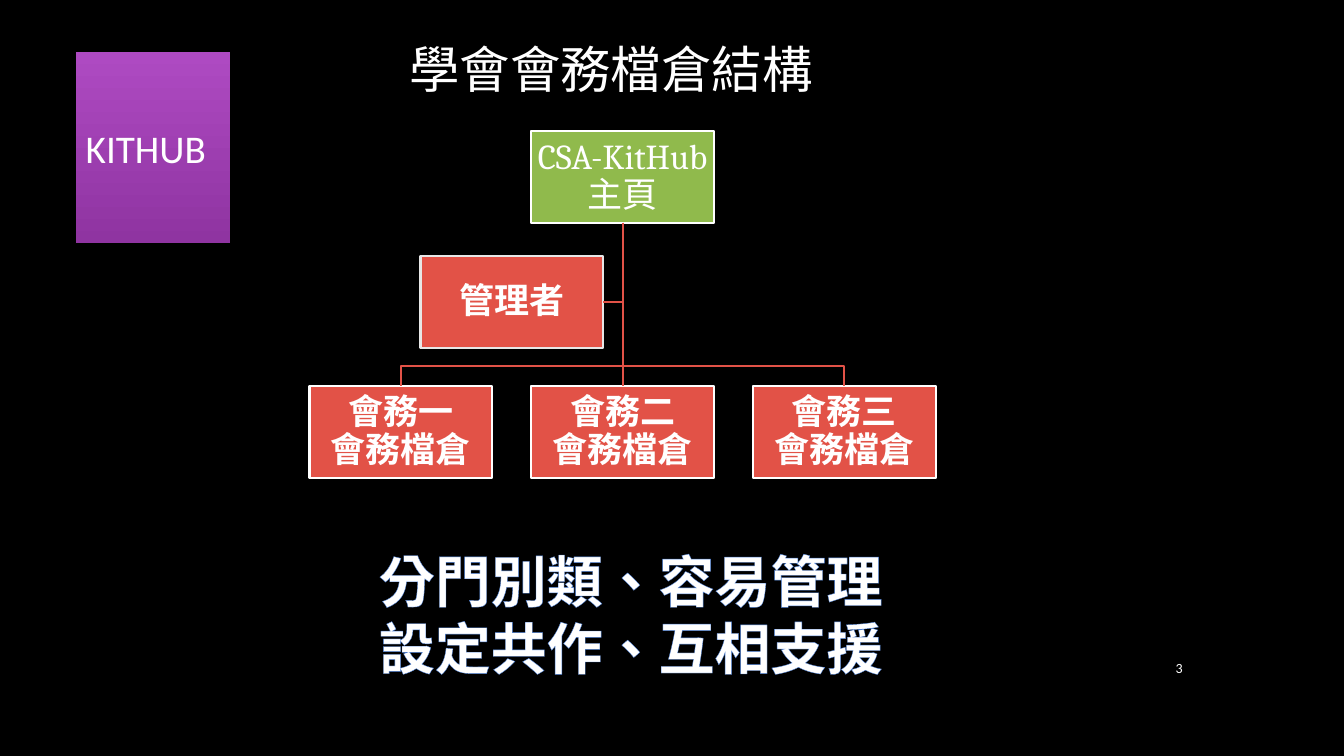
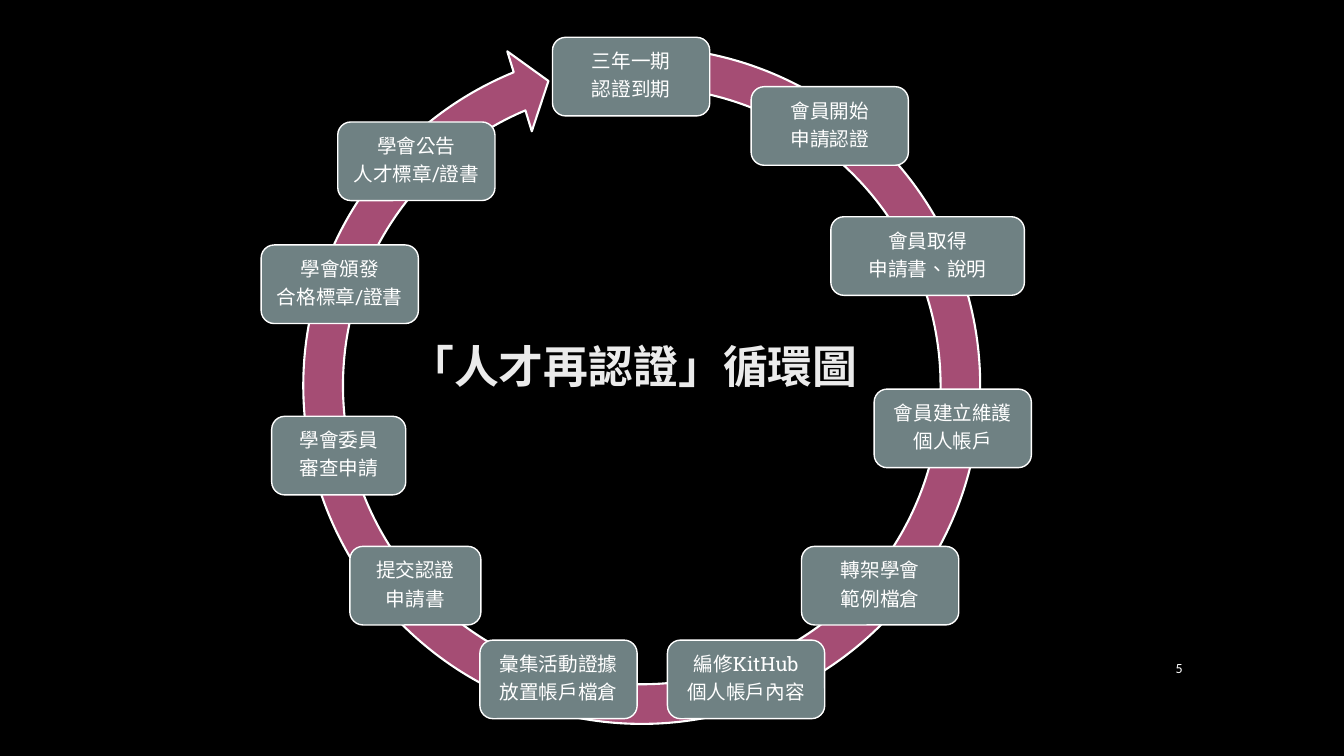
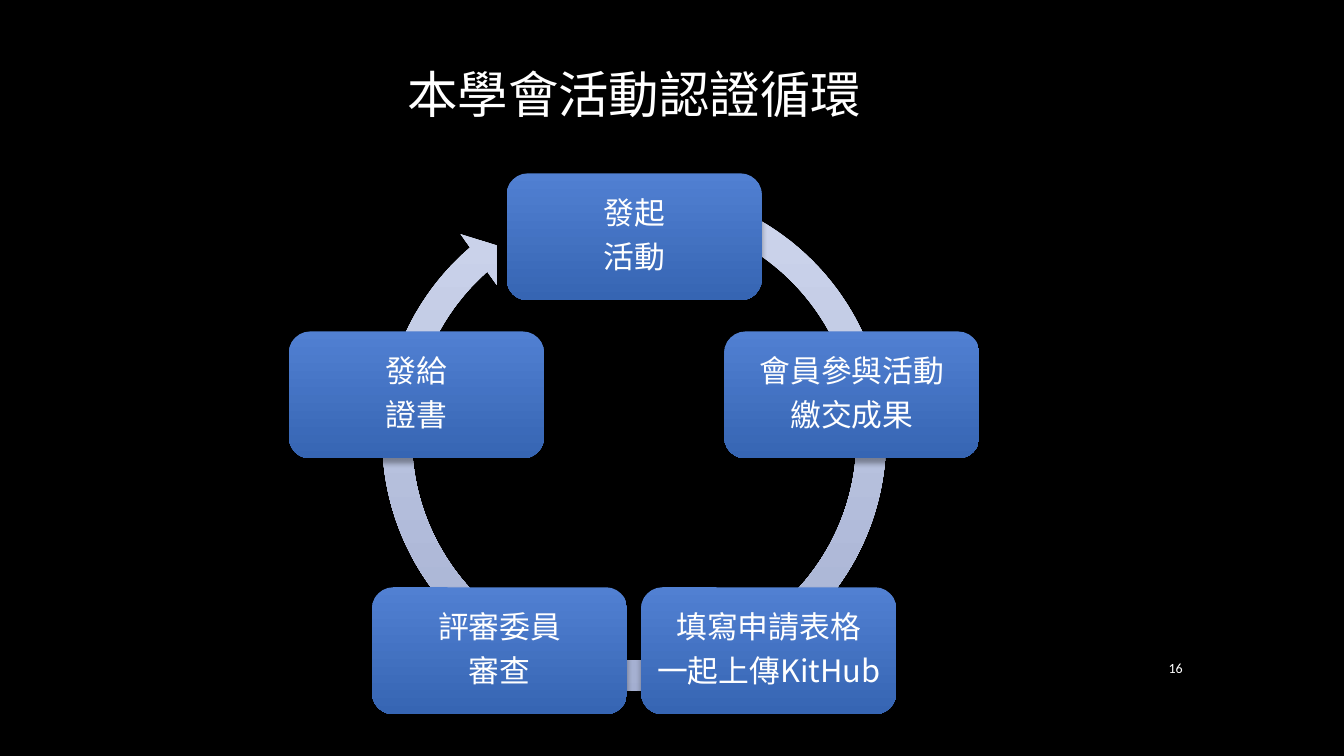
from math import cos, pi, sin

from lxml.etree import SubElement
from pptx import Presentation
from pptx.dml.color import RGBColor
from pptx.enum.shapes import MSO_CONNECTOR as Link, MSO_SHAPE as Preset
from pptx.enum.text import MSO_ANCHOR as Anchor, MSO_AUTO_SIZE as Fit, PP_ALIGN as Align
from pptx.oxml.ns import qn
from pptx.util import Inches, Pt


class Theme:
    background = "000000"
    white = "FFFFFF"
    soft_white = "EBEBEB"
    manager_line = "E7E7E7"
    red, green = "E25247", "90BA4C"
    slate, plum = "6F8183", "A54D74"
    purple_fade = ("AE4AC2", "8F34A1")
    blue_fade = ("5180D2", "3665B3")
    pale_fade = ("D0D8EE", "A3AED0")
    glyph_edge = "477BD1"
    asian = "Noto Sans CJK SC"
    latin, serif, slab, geometric = "Calibri", "Cambria", "Roboto Slab", "TeX Gyre Adventor"
    number, small, node, org, badge, center, title, slogan = 10, 14, 22, 25, 28, 32, 36, 40


def paint(shape, fill, line=None, weight=1.5, shadow=None):
    """Fill with one colour or a top-down pair; shadow is (opacity %, direction in degrees)."""
    if isinstance(fill, tuple):
        shape.fill.gradient()
        shape.fill.gradient_angle = 270
        for position, (stop, color) in enumerate(zip(shape.fill.gradient_stops, fill)):
            stop.position = position
            stop.color.rgb = RGBColor.from_string(color)
    else:
        shape.fill.solid()
        shape.fill.fore_color.rgb = RGBColor.from_string(fill)
    if line:
        shape.line.color.rgb = RGBColor.from_string(line)
        shape.line.width = Pt(weight)
    else:
        shape.line.fill.background()
    shape.shadow.inherit = False
    if shadow:
        opacity, direction = shadow
        effects = shape._element.spPr.find(qn("a:effectLst"))
        outer = SubElement(effects, qn("a:outerShdw"), blurRad=str(Pt(4)), dist=str(Pt(3)),
                           dir=str(direction * 60000), rotWithShape="0")
        color = SubElement(outer, qn("a:srgbClr"), val="000000")
        SubElement(color, qn("a:alpha"), val=str(opacity * 1000))


def write(shape, lines, size, font=Theme.asian, color=Theme.white, bold=False, align=Align.CENTER,
          anchor=Anchor.MIDDLE, inset=None, spacing=None, after=0):
    frame = shape.text_frame
    frame.text = "\n".join(lines)
    frame.word_wrap = True
    frame.auto_size = Fit.NONE
    frame.vertical_anchor = anchor
    if inset is not None:
        frame.margin_left = frame.margin_right = Inches(inset)
        frame.margin_top = frame.margin_bottom = Inches(inset)
    for para in frame.paragraphs:
        para.alignment = align
        para.line_spacing = spacing
        para.space_before = Pt(0)
        para.space_after = Pt(after * size)
        para.font.name = font
        para.font.size = Pt(size)
        para.font.bold = bold
        para.font.color.rgb = RGBColor.from_string(color)
        for defaults in para._p.iter(qn("a:defRPr")):
            defaults.set("lang", "zh-TW")
            SubElement(defaults, qn("a:ea"), typeface=Theme.asian)


deck = Presentation()
deck.slide_width, deck.slide_height = Inches(13.33), Inches(7.5)
backdrop = deck.slide_master.background.fill
backdrop.solid()
backdrop.fore_color.rgb = RGBColor.from_string(Theme.background)

# Pages: number, title, title area, title format
tight = {"spacing": 0.9, "after": 0.35}
outline = [
    (3, "KITHUB", (0.75, 0.52, 1.53, 1.89),
     dict(size=Theme.badge, font=Theme.latin, align=Align.LEFT)),
    (5, "「人才再認證」循環圖", (3.96, 3.37, 4.83, 0.77),
     dict(size=Theme.center, font=Theme.geometric, color=Theme.soft_white, bold=True,
          align=Align.LEFT, anchor=Anchor.TOP, spacing=0.9)),
    (16, "本學會活動認證循環", (0.75, 0.13, 11.08, 1.59), dict(size=Theme.title)),
]
pages = []
for number, title, area, style in outline:
    page = deck.slides.add_slide(deck.slide_layouts[5])
    heading = page.shapes.title
    heading.left, heading.top, heading.width, heading.height = map(Inches, area)
    write(heading, [title], **style)
    footer = page.shapes.add_textbox(*map(Inches, (11.23, 6.42, 0.6, 0.41)))
    write(footer, [str(number)], Theme.number, font=Theme.latin, align=Align.RIGHT)
    pages.append(page)
structure, renewal, activity = pages

# Repository structure: boxes on a half-column grid
paint(structure.shapes.title, Theme.purple_fade)
box_width, box_height = 1.81, 0.91
grid_left, half_column = 3.07, 1.1
rows = (1.3, 2.54, 3.83)
org_boxes = [
    (2, 0, "CSA-KitHub主頁", Theme.green, Theme.white),
    (1, 1, "管理者", Theme.red, Theme.manager_line),
    (0, 2, "會務一\v會務檔倉", Theme.red, Theme.white),
    (2, 2, "會務二\v會務檔倉", Theme.red, Theme.white),
    (4, 2, "會務三\v會務檔倉", Theme.red, Theme.white),
]
placed = []
for column, row, label, fill, line in org_boxes:
    box = structure.shapes.add_shape(Preset.RECTANGLE, Inches(grid_left + column * half_column),
                                     Inches(rows[row]), Inches(box_width), Inches(box_height))
    paint(box, fill, line)
    home = row == 0
    write(box, [label], Theme.org, font=Theme.serif if home else Theme.asian, bold=not home,
          inset=0.02, **tight)
    placed.append(box)
home_box, manager, first, middle, last = placed

trunk = structure.shapes.add_connector(Link.STRAIGHT, 0, 0, 0, 0)
trunk.begin_connect(home_box, 2)
trunk.end_connect(middle, 0)
SubElement(trunk._element.spPr, qn("a:effectLst"))
links = [trunk]

root_x, root_y = trunk.begin_x, trunk.begin_y
manager_y = manager.top + manager.height // 2
rail_y = first.top - Inches(0.2)
elbows = [[(root_x, manager_y), (manager.left + manager.width, manager_y)]]
for box in (first, last):
    box_x = box.left + box.width // 2
    elbows.append([(root_x, rail_y), (box_x, rail_y), (box_x, box.top)])
for points in elbows:
    builder = structure.shapes.build_freeform(root_x, root_y)
    builder.add_line_segments(points, close=False)
    elbow = builder.convert_to_shape()
    elbow.fill.background()
    elbow.shadow.inherit = False
    links.append(elbow)
for link in links:
    link.line.color.rgb = RGBColor.from_string(Theme.red)
    link.line.width = Pt(1.5)

caption = structure.shapes.add_textbox(*map(Inches, (3.96, 0.14, 4.45, 1.08)))
write(caption, ["學會會務檔倉結構"], Theme.title, align=Align.LEFT)
slogan = structure.shapes.add_textbox(*map(Inches, (3.45, 5.37, 5.61, 1.45)))
write(slogan, ["分門別類、容易管理", "設定共作、互相支援"], Theme.slogan, bold=True,
      anchor=Anchor.TOP)
for defaults in slogan._element.iter(qn("a:defRPr")):
    edge = SubElement(defaults, qn("a:ln"), w=str(Pt(0.52)))
    SubElement(SubElement(edge, qn("a:solidFill")), qn("a:srgbClr"), val=Theme.glyph_edge)
    defaults.insert(0, edge)

# Both cycles: ring first, then nodes as (centre x, centre y, width, lines)
renewal_nodes = [
    (6.26, 0.76, 1.56, ["三年一期", "認證到期"]),
    (8.23, 1.25, 1.56, ["會員開始", "申請認證"]),
    (9.2, 2.54, 1.92, ["會員取得", "申請書、說明"]),
    (9.45, 4.25, 1.56, ["會員建立維護", "個人帳戶"]),
    (8.73, 5.81, 1.56, ["轉架學會", "範例檔倉"]),
    (7.4, 6.74, 1.56, ["編修KitHub", "個人帳戶內容"]),
    (5.54, 6.74, 1.56, ["彙集活動證據", "放置帳戶檔倉"]),
    (4.12, 5.81, 1.3, ["提交認證", "申請書"]),
    (3.36, 4.52, 1.33, ["學會委員", "審查申請"]),
    (3.37, 2.82, 1.56, ["學會頒發", "合格標章/證書"]),
    (4.13, 1.6, 1.56, ["學會公告", "人才標章/證書"]),
]
steps = [["發起", "活動"], ["會員參與活動", "繳交成果"], ["填寫申請表格", "一起上傳KitHub"],
         ["評審委員", "審查"], ["發給", "證書"]]
radius, turn = 2.27, 2 * pi / len(steps)
activity_nodes = [(6.29 + radius * sin(i * turn), 4.62 - radius * cos(i * turn), 2.53, lines)
                  for i, lines in enumerate(steps)]

cycles = [
    (renewal, (2.79, 0.25, 7.15), (148.47, 167.63),
     dict(fill=Theme.plum, line=Theme.white, shadow=(40, 315)),
     renewal_nodes, 0.78, dict(fill=Theme.slate, line=Theme.white, weight=1),
     dict(size=Theme.small, font=Theme.slab, inset=0.06)),
    (activity, (3.63, 1.69, 5.32), (137.41, 174.07), dict(fill=Theme.pale_fade),
     activity_nodes, 1.26, dict(fill=Theme.blue_fade, shadow=(35, 90)),
     dict(size=Theme.node, inset=0.09)),
]
for page, (left, top, side), (tip, tail), ring_paint, nodes, height, node_paint, style in cycles:
    ring = page.shapes.add_shape(Preset.CIRCULAR_ARROW, *map(Inches, (left, top, side, side)))
    for index, value in enumerate((0.055, 3.31, tip, tail, 0.058)):
        ring.adjustments[index] = value
    paint(ring, **ring_paint)
    for x, y, width, lines in nodes:
        node = page.shapes.add_shape(Preset.ROUNDED_RECTANGLE, Inches(x - width / 2),
                                     Inches(y - height / 2), Inches(width), Inches(height))
        paint(node, **node_paint)
        write(node, lines, **style, **tight)

deck.save("out.pptx")
